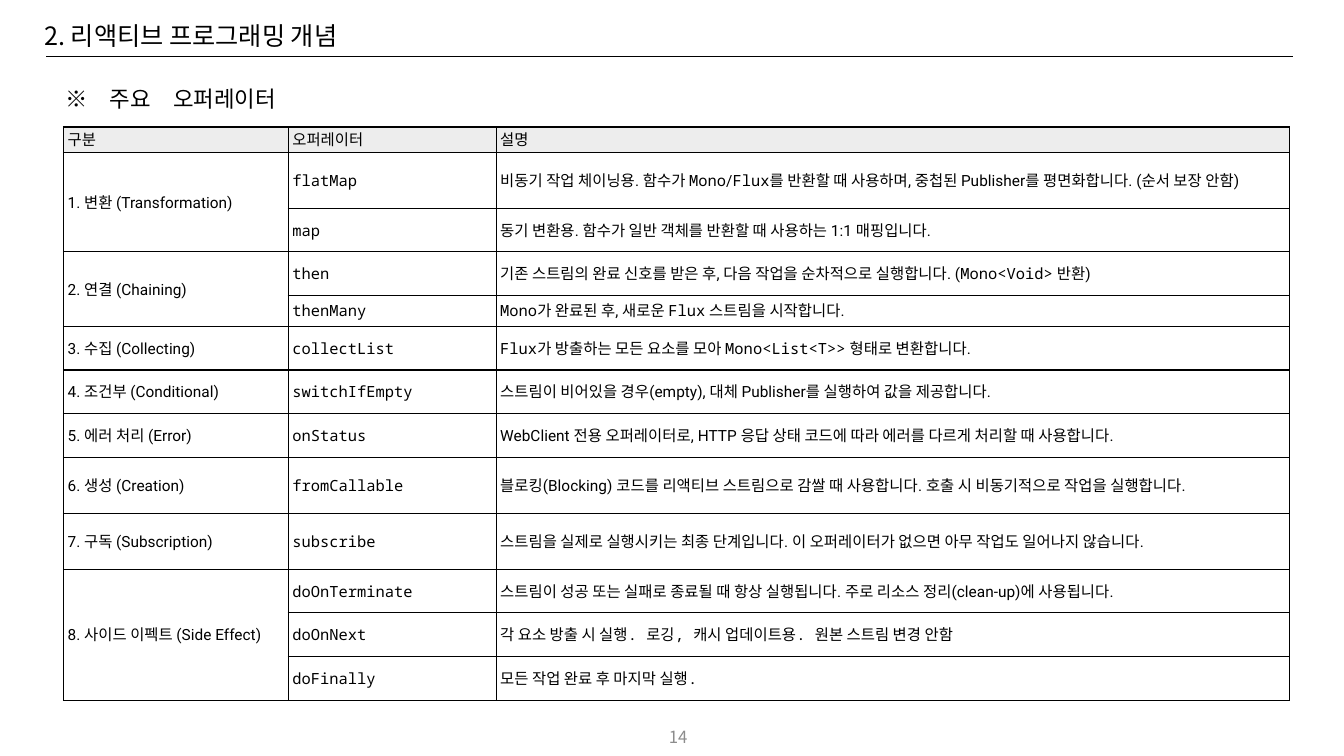
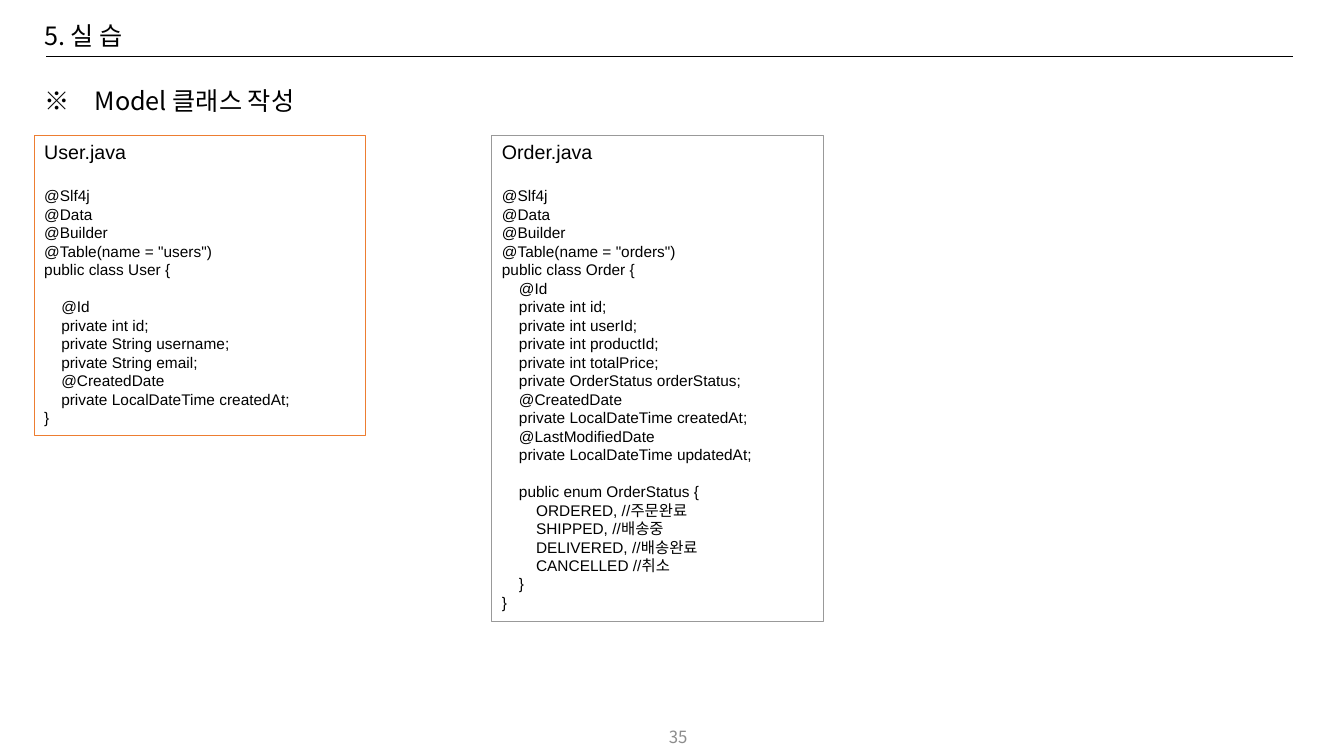
from lxml import etree
from pptx import Presentation
from pptx.dml.color import RGBColor
from pptx.enum.shapes import MSO_CONNECTOR, MSO_SHAPE
from pptx.enum.text import MSO_ANCHOR, MSO_AUTO_SIZE, PP_ALIGN
from pptx.oxml.ns import qn
from pptx.util import Pt

LEFT, RIGHT = PP_ALIGN.LEFT, PP_ALIGN.RIGHT
TOP, MIDDLE = MSO_ANCHOR.TOP, MSO_ANCHOR.MIDDLE
NO_AUTOFIT = MSO_AUTO_SIZE.NONE
STRAIGHT, RECTANGLE = MSO_CONNECTOR.STRAIGHT, MSO_SHAPE.RECTANGLE

KOREAN, MONO, SANS, CODE = "Noto Sans CJK KR", "Noto Sans Mono", "Roboto", "Arial"
BLACK, WHITE, HEADER_FILL, NUMBER_GRAY = "000000", "FFFFFF", "EDEDED", "8C8C8C"
ORANGE, BOX_GRAY = "ED7D31", "999999"

CODE_LINE, CODE_INDENT, HEADING_LINE, HEADING_GAP = 13.2, 12.2, 16.8, 16.2

COLUMN_WIDTHS = (160.5, 148.5, 566.5)
HEADER_HEIGHT = 18
TABLE_HEADER = ("구분", "오퍼레이터", "설명")
OPERATOR_GROUPS = [
    ("1. 변환 (Transformation)", [
        ("flatMap", 40, "비동기 작업 체이닝용. 함수가 `Mono`/`Flux`를 반환할 때 사용하며, "
                        "중첩된 Publisher를 평면화합니다. (순서 보장 안함)"),
        ("map", 31.2, "동기 변환용. 함수가 일반 객체를 반환할 때 사용하는 1:1 매핑입니다."),
    ]),
    ("2. 연결 (Chaining)", [
        ("then", 31.2, "기존 스트림의 완료 신호를 받은 후, 다음 작업을 순차적으로 실행합니다. "
                       "(`Mono<Void>` 반환)"),
        ("thenMany", 22, "`Mono`가 완료된 후, 새로운 `Flux` 스트림을 시작합니다."),
    ]),
    ("3. 수집 (Collecting)", [
        ("collectList", 31.2, "`Flux`가 방출하는 모든 요소를 모아 `Mono<List<T>>` 형태로 변환합니다."),
    ]),
    ("4. 조건부 (Conditional)", [
        ("switchIfEmpty", 31.2, "스트림이 비어있을 경우(empty), 대체 Publisher를 실행하여 값을 제공합니다."),
    ]),
    ("5. 에러 처리 (Error)", [
        ("onStatus", 31.2, "WebClient 전용 오퍼레이터로, HTTP 응답 상태 코드에 따라 "
                           "에러를 다르게 처리할 때 사용합니다."),
    ]),
    ("6. 생성 (Creation)", [
        ("fromCallable", 40, "블로킹(Blocking) 코드를 리액티브 스트림으로 감쌀 때 사용합니다. "
                             "호출 시 비동기적으로 작업을 실행합니다."),
    ]),
    ("7. 구독 (Subscription)", [
        ("subscribe", 40, "스트림을 실제로 실행시키는 최종 단계입니다. "
                          "이 오퍼레이터가 없으면 아무 작업도 일어나지 않습니다."),
    ]),
    ("8. 사이드 이펙트 (Side Effect)", [
        ("doOnTerminate", 31.2, "스트림이 성공 또는 실패로 종료될 때 항상 실행됩니다. "
                                "주로 리소스 정리(clean-up)에 사용됩니다."),
        ("doOnNext", 31.2, "`각 요소 방출 시 실행. 로깅, 캐시 업데이트용. 원본 스트림 변경 안함`"),
        ("doFinally", 31.2, "`모든 작업 완료 후 마지막 실행.`"),
    ]),
]

USER_CODE = """@Slf4j
@Data
@Builder
@Table(name = "users")
public class User {

    @Id
    private int id;
    private String username;
    private String email;
    @CreatedDate
    private LocalDateTime createdAt;
}"""

ORDER_CODE = """@Slf4j
@Data
@Builder
@Table(name = "orders")
public class Order {
    @Id
    private int id;
    private int userId;
    private int productId;
    private int totalPrice;
    private OrderStatus orderStatus;
    @CreatedDate
    private LocalDateTime createdAt;
    @LastModifiedDate
    private LocalDateTime updatedAt;

    public enum OrderStatus {
        ORDERED, //주문완료
        SHIPPED, //배송중
        DELIVERED, //배송완료
        CANCELLED //취소
    }
}"""

CODE_BOXES = [
    ("User.java", USER_CODE, 24.5, 214.6, ORANGE),
    ("Order.java", ORDER_CODE, 351.4, 347.8, BOX_GRAY),
]


def color(value):
    return RGBColor.from_string(value)


def format_run(run, size, font=KOREAN, hex_color=BLACK):
    run.font.size = Pt(size)
    run.font.name = font
    run.font.color.rgb = color(hex_color)
    east_asian = etree.SubElement(run.font._element, qn("a:ea"))
    east_asian.set("typeface", KOREAN)


def add_label(slide, text, left, top, width, size, hex_color=BLACK, align=LEFT, anchor=TOP):
    box = slide.shapes.add_textbox(Pt(left), Pt(top), Pt(width), Pt(28.8))
    frame = box.text_frame
    frame.word_wrap = True
    frame.vertical_anchor = anchor
    frame.text = text
    frame.paragraphs[0].alignment = align
    format_run(frame.paragraphs[0].runs[0], size, hex_color=hex_color)


def prepare_layout(layout, scratch_slide):
    title = layout.placeholders[0]
    title.left, title.top, title.width, title.height = Pt(24.5), Pt(-25.2), Pt(828), Pt(104.4)
    rule = scratch_slide.shapes.add_connector(STRAIGHT, Pt(33.1), Pt(40.3), Pt(923.8), Pt(40.3))
    rule.line.color.rgb = color(BLACK)
    rule.line.width = Pt(0.5)
    etree.SubElement(rule.element.spPr, qn("a:effectLst"))
    layout.element.cSld.spTree.append(rule.element)


def add_frame(slide, title, number):
    frame = slide.shapes.title.text_frame
    frame.text = title
    frame.auto_size = NO_AUTOFIT
    frame.vertical_anchor = MIDDLE
    paragraph = frame.paragraphs[0]
    paragraph.alignment = LEFT
    paragraph.line_spacing = 0.9
    format_run(paragraph.runs[0], 18)
    add_label(slide, number, 282.2, 511.9, 216, 12, NUMBER_GRAY, RIGHT, MIDDLE)


def add_borders(cell):
    properties = cell._tc.get_or_add_tcPr()
    for index, side in enumerate(("lnL", "lnR", "lnT", "lnB")):
        line = etree.Element(qn(f"a:{side}"), w=str(Pt(1)))
        fill = etree.SubElement(line, qn("a:solidFill"))
        etree.SubElement(fill, qn("a:srgbClr"), val=BLACK)
        properties.insert(index, line)


def fill_cell(cell, marked_text, fill=WHITE):
    cell.fill.solid()
    cell.fill.fore_color.rgb = color(fill)
    add_borders(cell)
    cell.vertical_anchor = MIDDLE
    cell.margin_left = cell.margin_right = Pt(2.9)
    cell.margin_top = cell.margin_bottom = Pt(1.4)
    paragraph = cell.text_frame.paragraphs[0]
    paragraph.line_spacing = Pt(15)
    for index, piece in enumerate(marked_text.split("`")):
        if piece:
            run = paragraph.add_run()
            run.text = piece
            format_run(run, 11, MONO if index % 2 else SANS)


def add_operator_table(slide):
    heights = [HEADER_HEIGHT] + [row[1] for _, rows in OPERATOR_GROUPS for row in rows]
    table = slide.shapes.add_table(
        len(heights), len(COLUMN_WIDTHS), Pt(45.4), Pt(90.7),
        Pt(sum(COLUMN_WIDTHS)), Pt(sum(heights))).table
    for column, width in zip(table.columns, COLUMN_WIDTHS):
        column.width = Pt(width)
    for row, height in zip(table.rows, heights):
        row.height = Pt(height)
    for column, heading in enumerate(TABLE_HEADER):
        fill_cell(table.cell(0, column), heading, HEADER_FILL)
    first = 1
    for group, rows in OPERATOR_GROUPS:
        for offset, (operator, _, description) in enumerate(rows):
            values = ("" if offset else group, f"`{operator}`", description)
            for column, value in enumerate(values):
                fill_cell(table.cell(first + offset, column), value)
        last = first + len(rows) - 1
        if last > first:
            table.cell(first, 0).merge(table.cell(last, 0))
        first = last + 1


def add_code_box(slide, name, code, left, height, outline):
    shape = slide.shapes.add_shape(RECTANGLE, Pt(left), Pt(96.5), Pt(236.9), Pt(height))
    shape.shadow.inherit = False
    shape.fill.background()
    shape.line.color.rgb = color(outline)
    shape.line.width = Pt(0.75)
    frame = shape.text_frame
    frame.word_wrap = True
    frame.vertical_anchor = TOP
    paragraph = frame.paragraphs[0]
    paragraph.text = name
    paragraph.alignment = LEFT
    paragraph.line_spacing = Pt(HEADING_LINE)
    format_run(paragraph.runs[0], 14, CODE)
    gap = HEADING_GAP
    for line in code.splitlines():
        if not line:
            gap = CODE_LINE
            continue
        statement = line.lstrip()
        depth = (len(line) - len(statement)) // 4
        paragraph = frame.add_paragraph()
        paragraph.text = statement
        paragraph.alignment = LEFT
        paragraph.line_spacing = Pt(CODE_LINE)
        paragraph.space_before = Pt(gap)
        paragraph._p.get_or_add_pPr().set("marL", str(Pt(depth * CODE_INDENT)))
        format_run(paragraph.runs[0], 11, CODE)
        gap = 0


def main():
    presentation = Presentation()
    presentation.slide_width, presentation.slide_height = Pt(960), Pt(540)
    layout = presentation.slide_layouts[5]

    operators = presentation.slides.add_slide(layout)
    prepare_layout(layout, operators)
    add_frame(operators, "2. 리액티브 프로그래밍 개념", "14")
    add_label(operators, "※　주요　오퍼레이터", 39.6, 57.6, 376.6, 16)
    add_operator_table(operators)

    models = presentation.slides.add_slide(layout)
    add_frame(models, "5. 실 습", "35")
    add_label(models, "※　Model 클래스 작성", 24.5, 57.6, 236.9, 18)
    for box in CODE_BOXES:
        add_code_box(models, *box)

    presentation.save("out.pptx")


if __name__ == "__main__":
    main()
